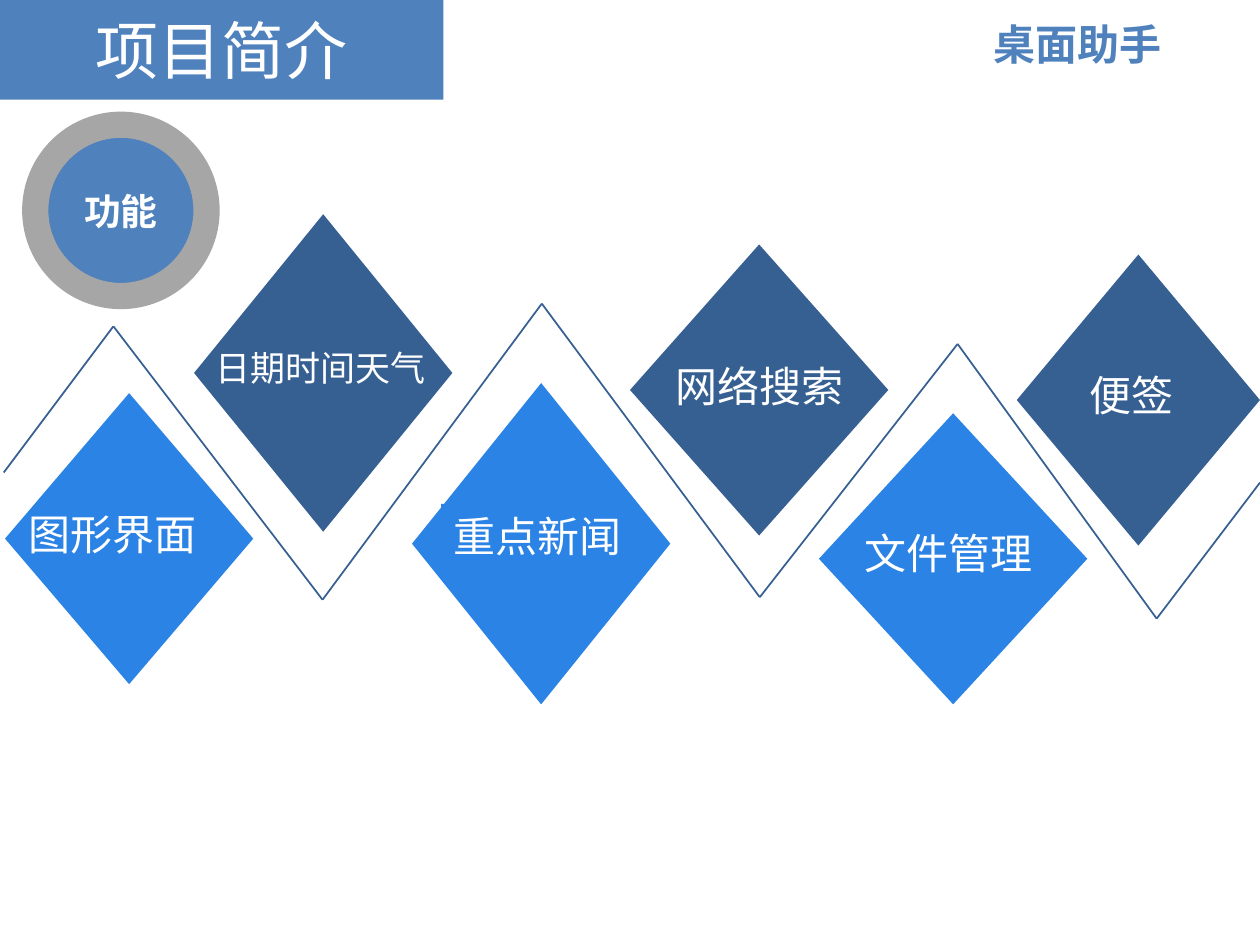
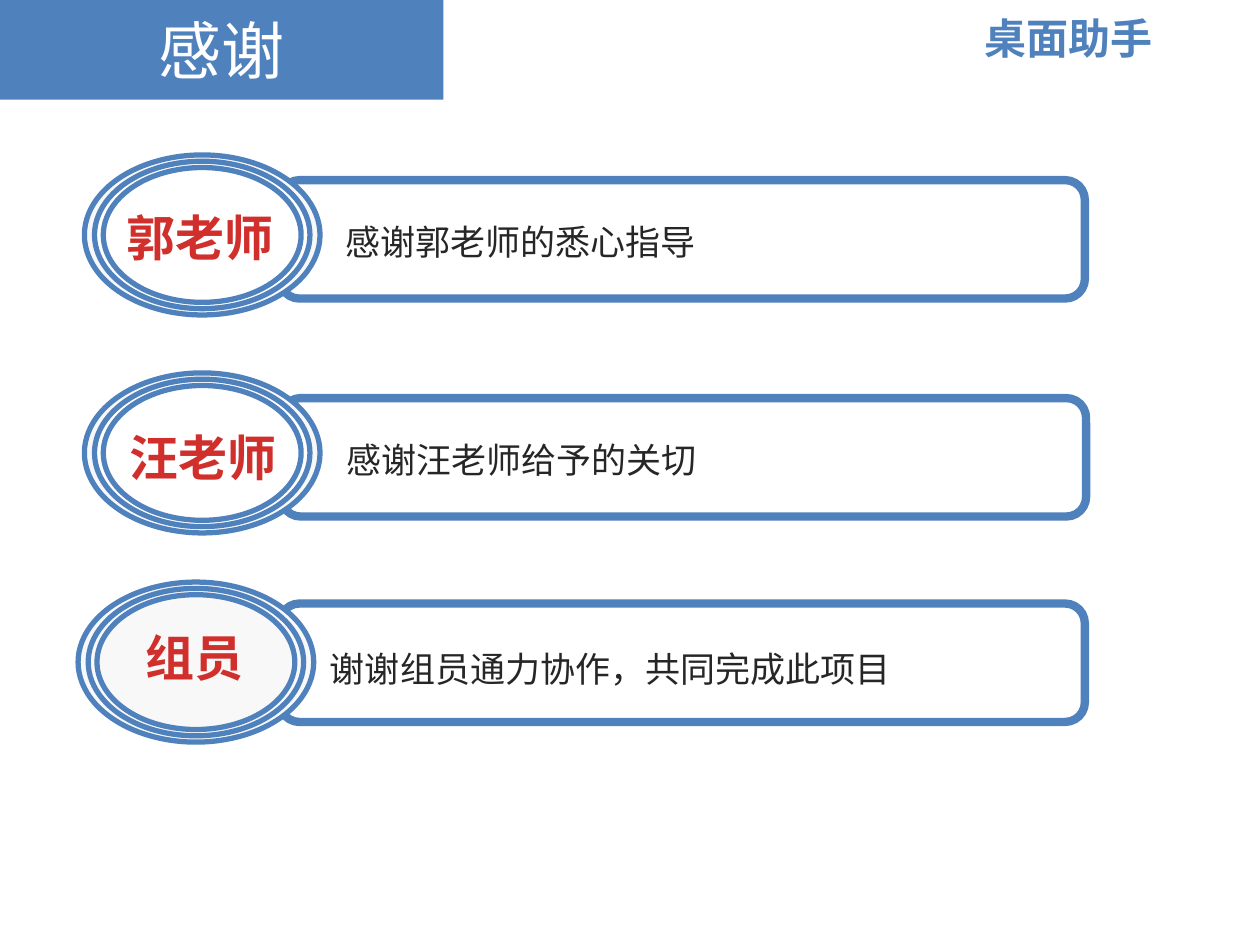
from lxml.etree import SubElement
from pptx import Presentation
from pptx.dml.color import RGBColor
from pptx.enum.shapes import MSO_CONNECTOR, MSO_SHAPE as SHAPE
from pptx.enum.text import MSO_ANCHOR as ANCHOR, PP_ALIGN as ALIGN
from pptx.oxml.ns import qn
from pptx.util import Inches, Pt

FONT = "Noto Sans CJK SC"
BLUE, NAVY, BRIGHT = "4F81BD", "376092", "2B83E5"
WHITE, PALE, GREY, DARK, RED = "FFFFFF", "F8F8F8", "A6A6A6", "262626", "D02F2C"
rgb = RGBColor.from_string


def add_shape(s, kind, at, fill=None, line=None, width=1):
    sp = s.shapes.add_shape(kind, *map(Inches, at))
    sp.shadow.inherit = False
    if fill:
        sp.fill.solid()
        sp.fill.fore_color.rgb = rgb(fill)
    else:
        sp.fill.background()
    if line:
        sp.line.color.rgb = rgb(line)
        sp.line.width = Pt(width)
    else:
        sp.line.fill.background()
    return sp


def write(sp, text, size=24, color=WHITE, bold=False, align=ALIGN.LEFT,
          anchor=ANCHOR.TOP, spacing=1.0, margins=(0.1, 0.05)):
    tf = sp.text_frame
    tf.word_wrap = True
    tf.vertical_anchor = anchor
    tf.margin_left = tf.margin_right = Inches(margins[0])
    tf.margin_top = tf.margin_bottom = Inches(margins[1])
    p = tf.paragraphs[0]
    p.alignment = align
    p.line_spacing = spacing
    r = p.add_run()
    r.text = text
    r.font.name, r.font.size, r.font.bold = FONT, Pt(size), bold
    r.font.color.rgb = rgb(color)
    SubElement(r._r.get_or_add_rPr(), qn("a:ea"), typeface=FONT)


prs = Presentation()
prs.slide_width, prs.slide_height = Inches(10), Inches(7.5)
centered = dict(align=ALIGN.CENTER, anchor=ANCHOR.MIDDLE, margins=(0.07, 0.04))

# Title band and product name on both slides
slides = []
for title, name_at in [("项目简介", (7.2, 0.1, 2.7, 0.5)),
                       ("感谢", (7.13, 0.05, 2.7, 0.5))]:
    s = prs.slides.add_slide(prs.slide_layouts[5])
    band = s.shapes.title
    band.left, band.top, band.width, band.height = map(Inches, (0, 0, 3.52, 0.79))
    band.fill.solid()
    band.fill.fore_color.rgb = rgb(BLUE)
    write(band, title, size=36, **centered)
    name = s.shapes.add_textbox(*map(Inches, name_at))
    write(name, "桌面助手", color=BLUE, bold=True, align=ALIGN.CENTER)
    slides.append(s)
intro, thanks = slides

# Zigzag line between the features
zigzag = [(0.03, 3.75), (0.9, 2.59), (2.56, 4.76), (4.3, 2.41),
          (6.03, 4.74), (7.6, 2.73), (9.18, 4.91), (10, 3.83)]
for start, end in zip(zigzag, zigzag[1:]):
    line = intro.shapes.add_connector(MSO_CONNECTOR.STRAIGHT, *map(Inches, start + end))
    line.line.color.rgb = rgb(NAVY)
    line.line.width = Pt(1)
    SubElement(line._element.spPr, qn("a:effectLst"))

# Feature diamonds, alternating below and above the line
features = [
    ("图形界面", (0.04, 3.12, 1.97, 2.31), (0.13, 3.99, 1.76, 0.5), 24),
    ("日期时间天气", (1.54, 1.7, 2.05, 2.52), (1.61, 2.7, 2.36, 0.44), 20),
    ("重点新闻", (3.27, 3.04, 2.05, 2.55), (3.5, 4, 1.55, 0.5), 24),
    ("网络搜索", (5, 1.94, 2.05, 2.31), (5.26, 2.81, 1.68, 0.5), 24),
    ("文件管理", (6.5, 3.28, 2.13, 2.31), (6.76, 4.14, 1.74, 0.5), 24),
    ("便签", (8.07, 2.02, 1.93, 2.31), (8.55, 2.88, 0.89, 0.5), 24),
]
filled_labels = ("重点新闻", "便签")
for i, (text, diamond_at, label_at, size) in enumerate(features):
    color = NAVY if i % 2 else BRIGHT
    add_shape(intro, SHAPE.DIAMOND, diamond_at, color)
    if text in filled_labels:
        label = add_shape(intro, SHAPE.RECTANGLE, label_at, color)
    else:
        label = intro.shapes.add_textbox(*map(Inches, label_at))
    write(label, text, size=size)

# Section badge
badge = add_shape(intro, SHAPE.OVAL, (0.28, 0.99, 1.36, 1.36), BLUE, GREY, 15)
write(badge, "功能", size=21, bold=True, **centered)

# Thanks rows: frame, three rings, name and message
rows = [
    ("郭老师", (0.7, 1.6, 1.78, 0.57), "感谢郭老师的悉心指导", (2.64, 1.6, 5.86, 0.5),
     (2.22, 1.43), (0.67, 1.23), WHITE),
    ("汪老师", (0.83, 3.34, 1.56, 0.57), "感谢汪老师给予的关切", (2.65, 3.33, 5.86, 0.5),
     (2.23, 3.16), (0.67, 2.96), WHITE),
    ("组员", (1.06, 4.93, 1.34, 0.57), "谢谢组员通力协作，共同完成此项目",
     (2.52, 4.99, 6.08, 0.5), (2.22, 4.79), (0.62, 4.62), None),
]
for person, person_at, message, message_at, frame, (x, y), middle in rows:
    add_shape(thanks, SHAPE.ROUNDED_RECTANGLE, (*frame, 6.39, 0.94), None, BLUE, 4.75)
    for dx, dy, fill in [(0, 0, PALE), (0.08, 0.05, middle), (0.15, 0.1, None)]:
        ring_at = (x + dx, y + dy, 1.87 - 2 * dx, 1.27 - 2 * dy)
        add_shape(thanks, SHAPE.OVAL, ring_at, fill, BLUE, 3)
    sp = thanks.shapes.add_textbox(*map(Inches, person_at))
    write(sp, person, size=28, color=RED, bold=True,
          align=ALIGN.LEFT if person == "组员" else ALIGN.CENTER)
    sp = thanks.shapes.add_textbox(*map(Inches, message_at))
    write(sp, message, size=20, color=DARK, spacing=1.3)

prs.save("out.pptx")
